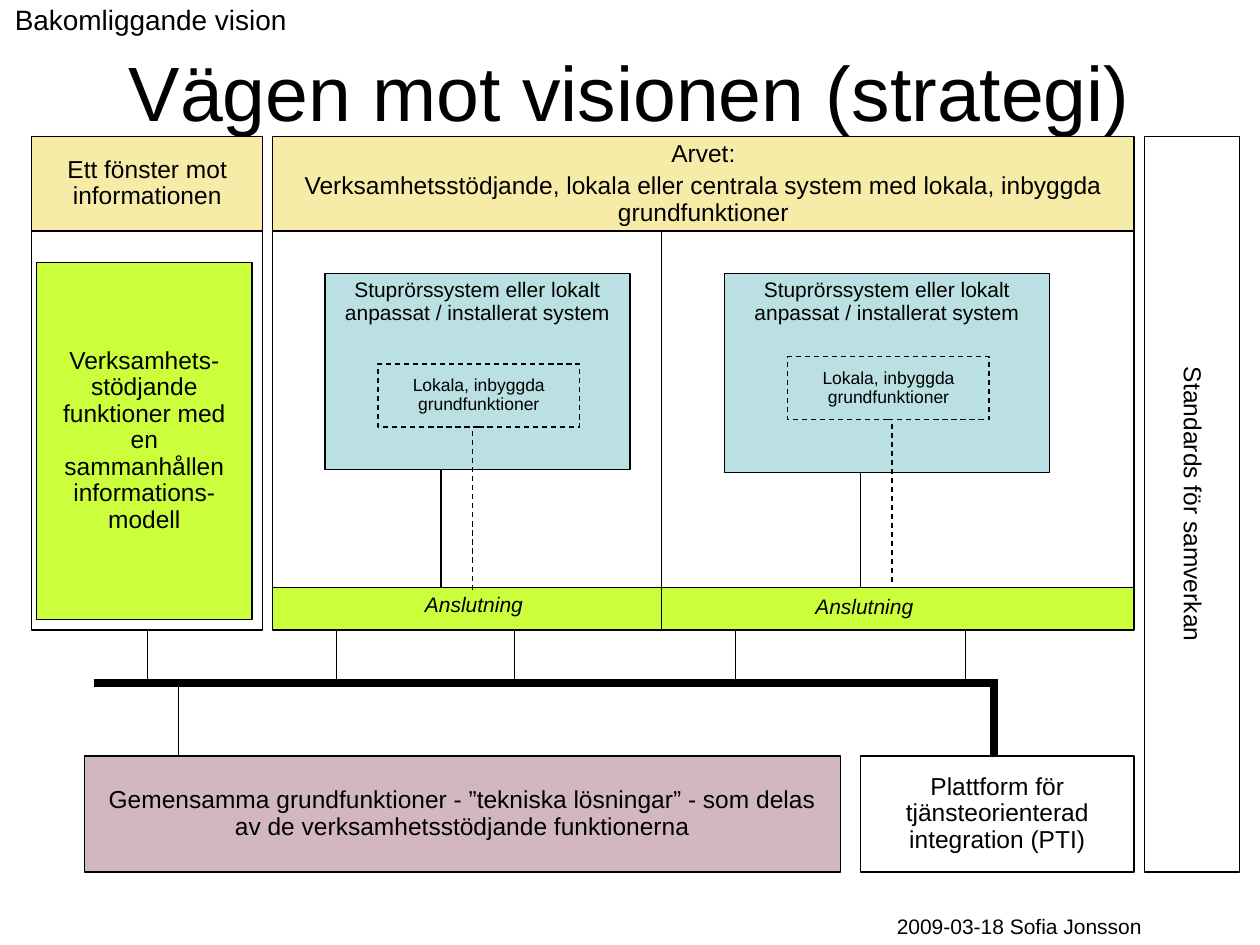
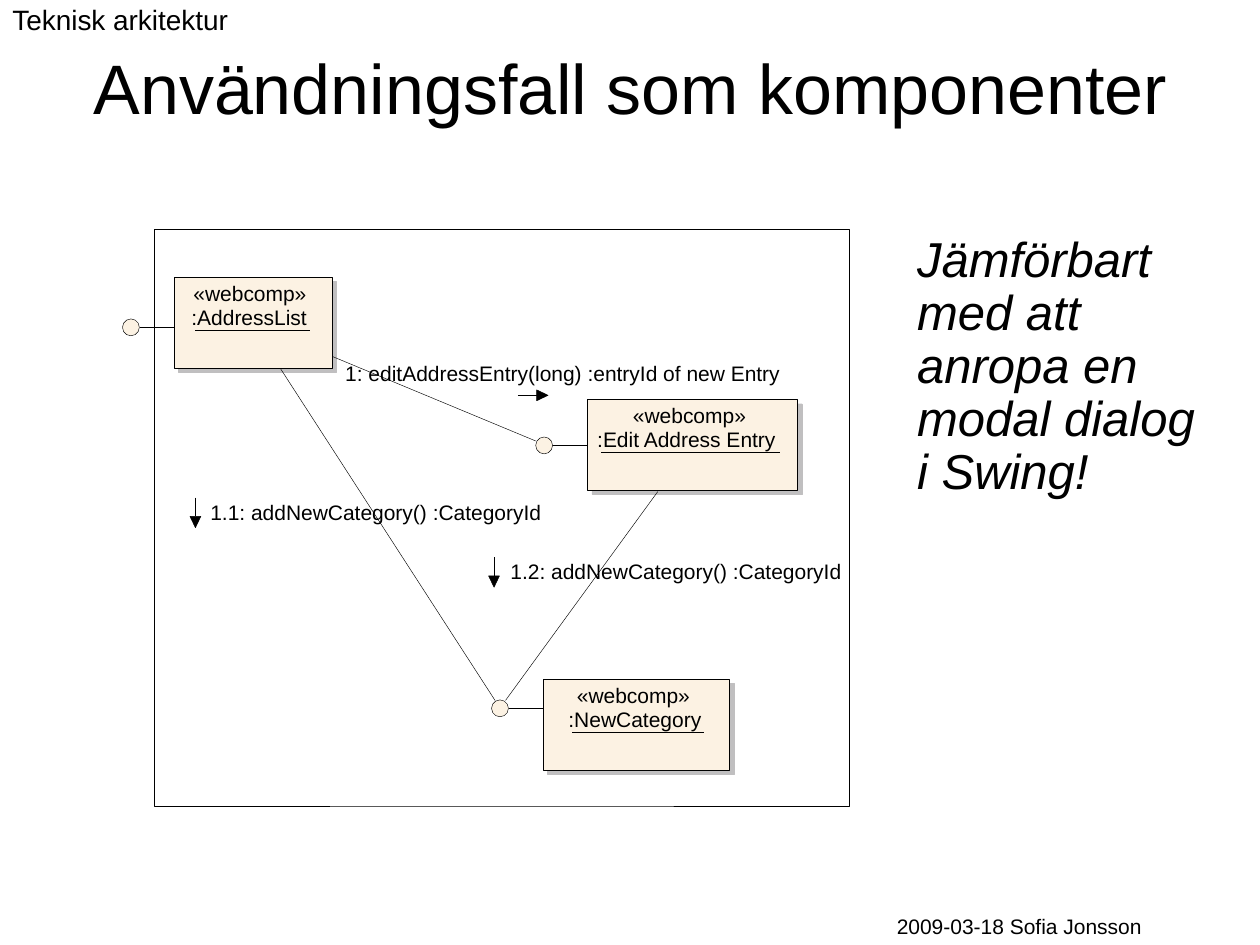
from dataclasses import dataclass

from lxml.etree import SubElement
from pptx import Presentation
from pptx.dml.color import RGBColor
from pptx.enum.dml import MSO_LINE_DASH_STYLE as Dash
from pptx.enum.shapes import MSO_CONNECTOR as Connector, MSO_SHAPE as Preset
from pptx.enum.text import MSO_ANCHOR as Anchor, PP_ALIGN as Align
from pptx.oxml.ns import qn
from pptx.util import Cm, Pt


@dataclass(frozen=True)
class Theme:
    font: str = "Arial"
    black: str = "000000"
    white: str = "FFFFFF"
    yellow: str = "F7ECA7"
    blue: str = "BBE0E3"
    green: str = "CCFF3B"
    rose: str = "D2B8BE"
    cream: str = "FCF2E3"
    shade: str = "C0BFC0"
    long_title: float = 40
    title: float = 44
    quote: float = 28
    section: float = 16
    block: float = 14
    label: float = 12
    small: float = 10
    hairline: float = 0.25
    thin: float = 0.75
    thick: float = 4.5


theme = Theme()


def add_box(slide, left, top, width, height, text="", size=theme.block, preset=None,
            fill=None, line=theme.black, weight=theme.thin, dash=None, anchor=Anchor.TOP,
            align=Align.CENTER, spacing=0.9, italic=False, margins=(0.25, 0.13)):
    """Add a preset shape, or a plain text box when no preset is given (lengths in cm)."""
    place = Cm(left), Cm(top), Cm(width), Cm(height)
    if preset is None:
        shape = slide.shapes.add_textbox(*place)
    else:
        shape = slide.shapes.add_shape(preset, *place)
        shape.shadow.inherit = False
        if fill:
            shape.fill.solid()
            shape.fill.fore_color.rgb = RGBColor.from_string(fill)
        else:
            shape.fill.background()
        shape.line.color.rgb = RGBColor.from_string(line)
        shape.line.width = Pt(weight)
        if dash:
            shape.line.dash_style = dash
    if not text:
        return shape
    frame = shape.text_frame
    frame.word_wrap = True
    frame.vertical_anchor = anchor
    frame.margin_left = frame.margin_right = Cm(margins[0])
    frame.margin_top = frame.margin_bottom = Cm(margins[1])
    frame.text = text
    for index, paragraph in enumerate(frame.paragraphs):
        paragraph.alignment = align
        paragraph.line_spacing = spacing
        if index:
            paragraph.space_before = Pt(size / 4)
        paragraph.font.name = theme.font
        paragraph.font.size = Pt(size)
        paragraph.font.italic = italic
        paragraph.font.color.rgb = RGBColor.from_string(theme.black)
    return shape


def add_line(slide, x1, y1, x2, y2, weight=theme.thin, dash=None):
    connector = slide.shapes.add_connector(Connector.STRAIGHT, Cm(x1), Cm(y1), Cm(x2), Cm(y2))
    connector.line.color.rgb = RGBColor.from_string(theme.black)
    connector.line.width = Pt(weight)
    if dash:
        connector.line.dash_style = dash
    SubElement(connector.element.spPr, qn("a:effectLst"))


presentation = Presentation()
presentation.slide_width, presentation.slide_height = Cm(25.4), Cm(19.05)
blank = presentation.slide_layouts[6]
strategy = presentation.slides.add_slide(blank)
components = presentation.slides.add_slide(blank)

# Strategy: rows and columns of the block diagram
header_top, body_top, link_top, body_bottom = 2.75, 4.66, 11.85, 12.7
bus, base_top, base_bottom = 13.76, 15.24, 17.58
window_left, legacy_left, legacy_right = 0.64, 5.5, 22.86
window_width, legacy_width = 4.66, legacy_right - legacy_left
header_height, base_height = body_top - header_top, base_bottom - base_top

add_box(strategy, window_left, body_top, window_width, body_bottom - body_top,
        preset=Preset.RECTANGLE)
add_box(strategy, legacy_left, link_top, legacy_width, body_bottom - link_top,
        preset=Preset.RECTANGLE, fill=theme.green)

for text, fill, left, top, width, height in (
    ("Ett fönster mot informationen", theme.yellow,
     window_left, header_top, window_width, header_height),
    ("Arvet:\nVerksamhetsstödjande, lokala eller centrala system med lokala, inbyggda "
     "grundfunktioner", theme.yellow, legacy_left, header_top, legacy_width, header_height),
    ("Verksamhets- stödjande funktioner med en sammanhållen informations-modell",
     theme.green, 0.74, 5.29, 4.34, 7.2),
    ("Gemensamma grundfunktioner - ”tekniska lösningar” - som delas av de "
     "verksamhetsstödjande funktionerna", theme.rose, 1.7, base_top, 15.24, base_height),
    ("Plattform för tjänsteorienterad integration (PTI)", theme.white,
     17.35, base_top, 5.51, base_height),
):
    add_box(strategy, left, top, width, height, text, preset=Preset.RECTANGLE, fill=fill,
            anchor=Anchor.MIDDLE)

standards = add_box(strategy, 16.61, 9.21, base_bottom - header_top, 1.91,
                    "Standards för samverkan", preset=Preset.RECTANGLE, fill=theme.white,
                    anchor=Anchor.MIDDLE)
standards.rotation = 90

for x in (legacy_left, legacy_right):
    add_line(strategy, x, body_top, x, link_top)
add_line(strategy, 13.34, body_top, 13.34, body_bottom)

system_top = 5.51
for left, width, height, core_left, core_top, link_x, core_link_x, label_left, label_top in (
    (6.55, 6.15, 3.96, 7.62, 7.34, 8.89, 9.53, 8.31, 11.86),
    (14.6, 6.56, 4.01, 15.88, 7.19, 17.35, 17.98, 16.18, 11.89),
):
    add_box(strategy, left, system_top, width, height,
            "Stuprörssystem eller lokalt anpassat / installerat system", theme.label,
            preset=Preset.RECTANGLE, fill=theme.blue)
    add_box(strategy, core_left, core_top, 4.06, 1.27, "Lokala, inbyggda grundfunktioner",
            theme.small, preset=Preset.RECTANGLE, fill=theme.blue, dash=Dash.DASH,
            anchor=Anchor.MIDDLE)
    add_line(strategy, link_x, system_top + height, link_x, link_top)
    add_line(strategy, core_link_x, core_top + 1.35, core_link_x, core_top + 4.6,
             dash=Dash.DASH)
    add_box(strategy, label_left, label_top, 2.49, 0.71, "Anslutning", theme.label,
            italic=True)

for x in (2.97, 6.78, 10.37, 14.82, 19.47):
    add_line(strategy, x, body_bottom, x, bus)
add_line(strategy, 3.6, bus, 3.6, base_top)
add_line(strategy, 1.9, bus, 20.11, bus, theme.thick)
add_line(strategy, 20.03, bus, 20.03, base_top, theme.thick)

# Components: collaboration diagram
add_box(components, 18.24, 4.62, 6.1, 5.59,
        "Jämförbart med att anropa en modal dialog i Swing!", theme.quote,
        align=Align.LEFT, italic=True)
add_box(components, 3.12, 4.62, 14, 11.63, preset=Preset.RECTANGLE, weight=theme.hairline)

caption = dict(size=theme.label, align=Align.LEFT, margins=(0, 0))
card_height, shadow_offset, stereotype_width, port_size = 1.83, 0.09, 2.4, 0.34
for name, left, top, width, name_left, name_width, port_y in (
    (":Edit Address Entry", 11.84, 8.05, 4.24, 12.04, 3.63, 8.98),
    (":NewCategory", 10.95, 13.69, 3.76, 11.46, 2.69, 14.28),
    (":AddressList", 3.51, 5.59, 3.18, 3.86, 2.34, 6.6),
):
    for offset, fill, line in ((shadow_offset, theme.shade, theme.shade),
                               (0, theme.cream, theme.black)):
        add_box(components, left + offset, top + offset, width, card_height,
                preset=Preset.RECTANGLE, fill=fill, line=line, weight=theme.hairline)
    add_box(components, left + (width - stereotype_width) / 2, top + 0.13,
            stereotype_width, 0.46, "«webcomp»", **caption)
    add_box(components, name_left, top + 0.61, name_width + 0.2, 0.46, name, **caption)
    underline = top + 1.07
    add_line(components, name_left + 0.08, underline, name_left + name_width + 0.05,
             underline, theme.hairline)
    add_line(components, left, port_y, left - 0.69, port_y, theme.hairline)
    add_box(components, left - 1.04, port_y - port_size / 2, port_size, port_size,
            preset=Preset.OVAL, fill=theme.cream, weight=theme.hairline)

for association in ((13.26, 9.91, 10.19, 14.12), (5.66, 7.44, 9.98, 14.12),
                    (6.71, 7.19, 10.8, 8.89)):
    add_line(components, *association, theme.hairline)

shaft, head, half_head = 0.38, 0.23, 0.11
for text, left, top, width, x, y, dx, dy in (
    ("1: editAddressEntry(long) :entryId of new Entry", 6.96, 7.32, 9.2, 10.44, 7.97, 1, 0),
    ("1.1: addNewCategory() :CategoryId", 4.24, 10.13, 7.2, 3.94, 10.03, 0, 1),
    ("1.2: addNewCategory() :CategoryId", 10.29, 11.31, 7.2, 9.96, 11.23, 0, 1),
):
    add_box(components, left, top, width, 0.46, text, **caption)
    neck_x, neck_y = x + shaft * dx, y + shaft * dy
    add_line(components, x, y, neck_x, neck_y, theme.hairline)
    side_x, side_y = half_head * dy, half_head * dx
    outline = components.shapes.build_freeform(Cm(neck_x - side_x), Cm(neck_y - side_y))
    outline.add_line_segments([
        (Cm(neck_x + side_x), Cm(neck_y + side_y)),
        (Cm(neck_x + head * dx), Cm(neck_y + head * dy)),
    ])
    arrowhead = outline.convert_to_shape()
    arrowhead.shadow.inherit = False
    arrowhead.fill.solid()
    arrowhead.fill.fore_color.rgb = RGBColor.from_string(theme.black)
    arrowhead.line.color.rgb = RGBColor.from_string(theme.black)
    arrowhead.line.width = Pt(theme.hairline)

# Section label, title and footer, in front of the diagrams
for slide, section, section_left, title, title_size in (
    (strategy, "Bakomliggande vision", 0.05, "Vägen mot visionen (strategi)", theme.title),
    (components, "Teknisk arkitektur", 0, "Användningsfall som komponenter",
     theme.long_title),
):
    add_box(slide, section_left, 0, 8, 0.86, section, theme.section, align=Align.LEFT)
    add_box(slide, 1.27, 0.76, 22.86, 3.18, title, title_size, spacing=1)
    add_box(slide, 15.7, 18.29, 9.7, 0.76, "2009-03-18 Sofia Jonsson", theme.label, spacing=1)

presentation.save("out.pptx")
